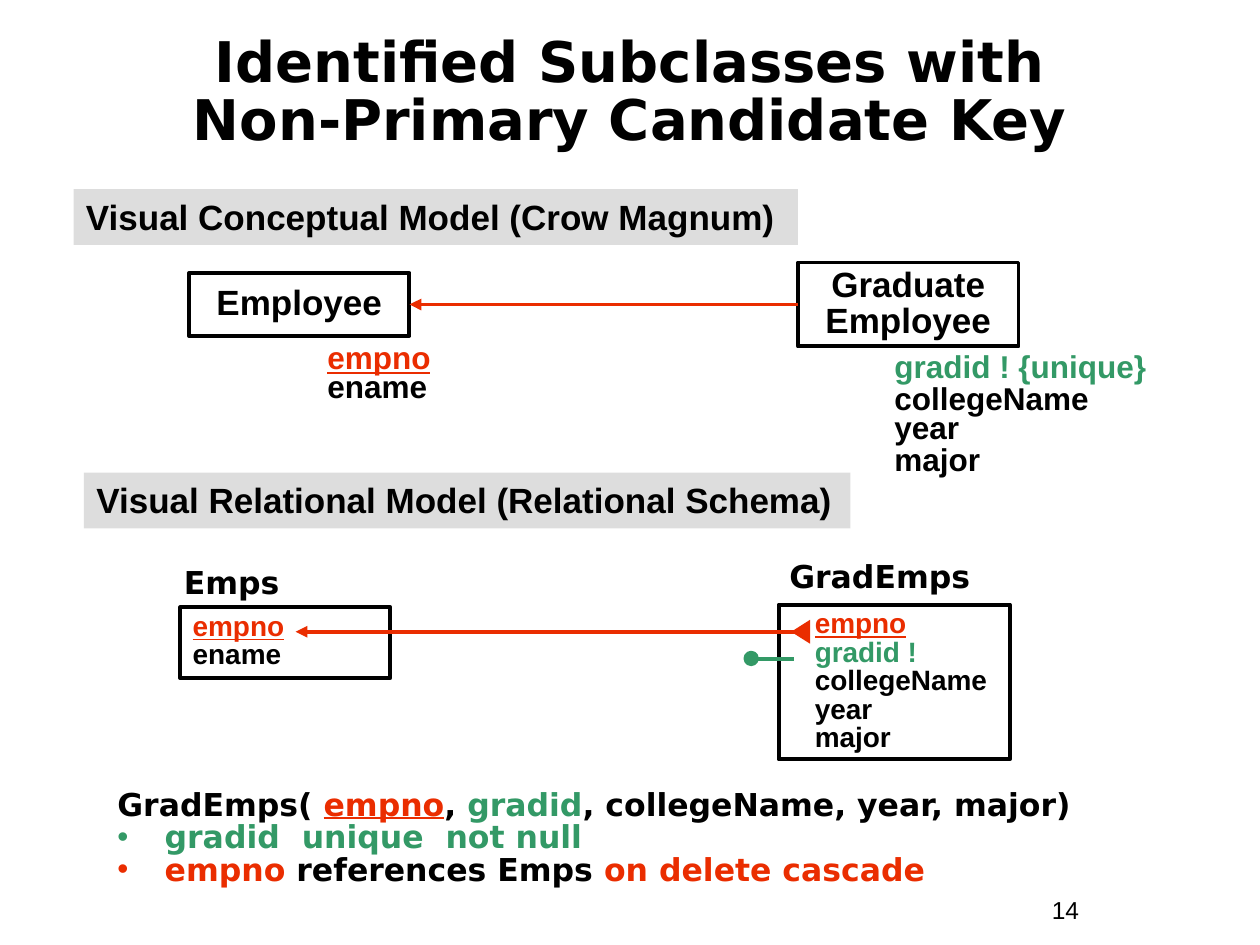
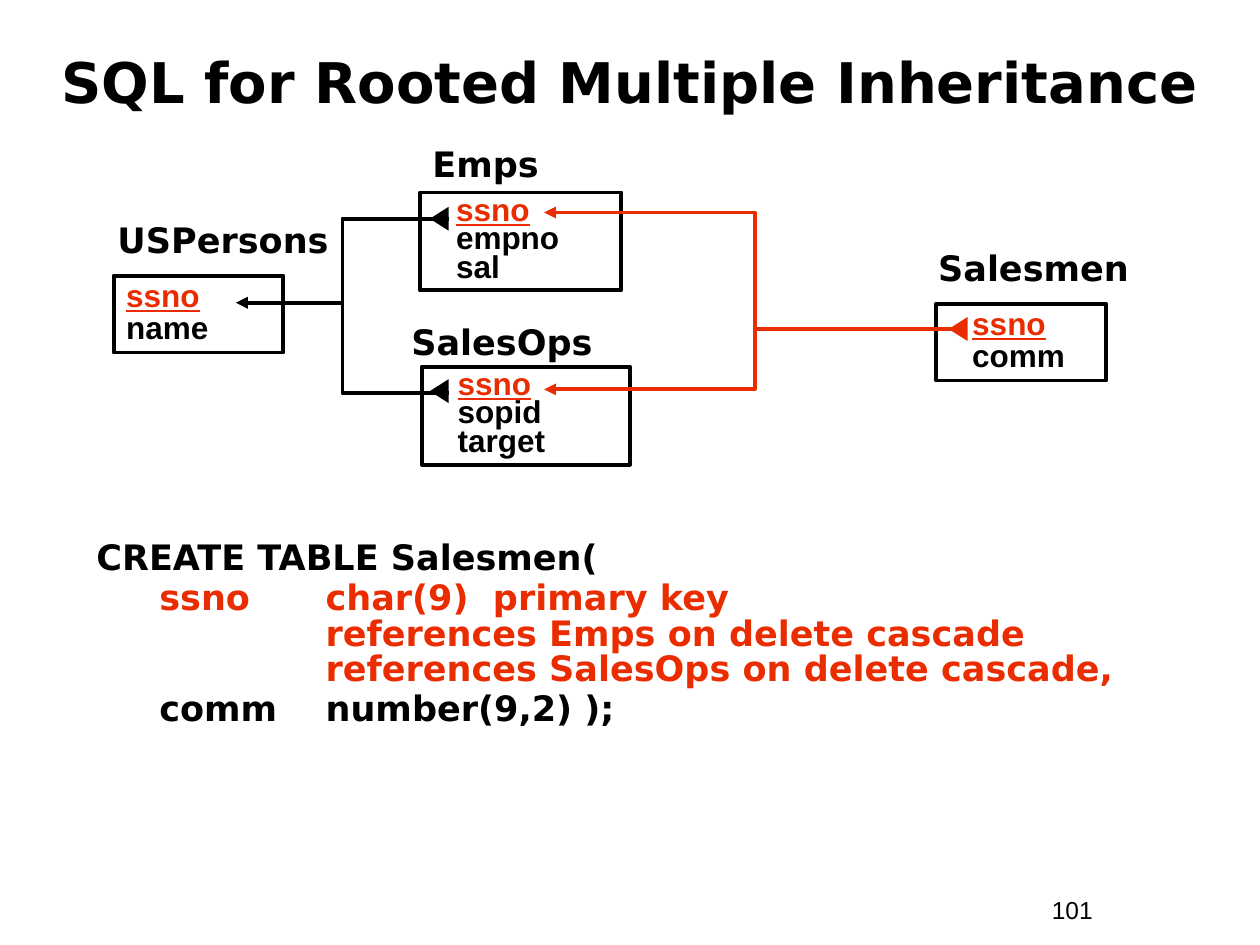
from dataclasses import dataclass
from lxml.etree import SubElement
from pptx import Presentation
from pptx.dml.color import RGBColor
from pptx.enum.shapes import MSO_CONNECTOR, MSO_SHAPE
from pptx.enum.text import MSO_ANCHOR, PP_ALIGN
from pptx.oxml.ns import qn
from pptx.util import Pt

HUE = {"ink": "000000", "red": "EA2D00", "green": "339966", "band": "DDDDDD"}
SANS, HEAD = "Arial", "DejaVu Sans"
EDGE = 2.25


@dataclass
class Line:
    """One paragraph: runs of (text, colour, underline) and its layout."""
    runs: list
    gap: float = 1
    left: float = 0
    hang: float = 0
    before: float = 0
    mark: str = ""
    tab: bool = False


def hue(name):
    """Return the colour of that name."""
    return RGBColor.from_string(HUE[name])


def plain(text, tint="ink", **more):
    """Return a line made of one run."""
    return Line([(text, tint, False)], **more)


def key(text, **more):
    """Return a line that shows a primary key."""
    return Line([(text, "red", True)], **more)


def style(font, tint, under):
    """Set the colour and underline of a font."""
    font.color.rgb = hue(tint)
    font.underline = under


def layout(par, line):
    """Set the spacing, indent, bullet and tab of a paragraph."""
    par.line_spacing = line.gap
    par.space_before = Pt(line.before)
    prop = par._p.get_or_add_pPr()
    prop.set("marL", str(Pt(line.left)))
    prop.set("indent", str(Pt(-line.hang)))
    if line.mark:
        tint = SubElement(prop, qn("a:buClr"))
        SubElement(tint, qn("a:srgbClr"), val=HUE[line.mark])
        SubElement(prop, qn("a:buFont"), typeface=SANS)
        SubElement(prop, qn("a:buChar"), char="•")
    if line.tab:
        stops = SubElement(prop, qn("a:tabLst"))
        for spot in (0, 144):
            SubElement(stops, qn("a:tab"), pos=str(Pt(spot)), algn="l")


def write(shape, lines, size, face=SANS, bold=True, mid=False, wrap=True):
    """Fill a shape with lines of text."""
    frame = shape.text_frame
    frame.word_wrap = wrap
    frame.vertical_anchor = MSO_ANCHOR.MIDDLE if mid else MSO_ANCHOR.TOP
    for i, line in enumerate(lines):
        par = frame.add_paragraph() if i else frame.paragraphs[0]
        par.alignment = PP_ALIGN.CENTER if mid else PP_ALIGN.LEFT
        layout(par, line)
        font = par.font
        font.name, font.size, font.bold = face, Pt(size), bold
        if len(line.runs) == 1:
            style(font, *line.runs[0][1:])
        for text, tint, under in line.runs:
            for j, part in enumerate(text.split("\n")):
                if j:
                    par.add_line_break()
                run = par.add_run()
                run.text = part
                if len(line.runs) > 1:
                    style(run.font, tint, under)


def label(slide, at, lines, size, face=SANS, **more):
    """Add a text box."""
    box = slide.shapes.add_textbox(*map(Pt, at))
    write(box, lines, size, face, **more)


def form(slide, kind, at, fill=None, edge=None):
    """Add a preset shape with an optional fill and outline."""
    shape = slide.shapes.add_shape(kind, *map(Pt, at))
    shape.shadow.inherit = False
    if fill:
        shape.fill.solid()
        shape.fill.fore_color.rgb = hue(fill)
    else:
        shape.fill.background()
    if edge:
        shape.line.color.rgb = hue(edge)
        shape.line.width = Pt(EDGE)
    else:
        shape.line.fill.background()
    return shape


def band(slide, at, text):
    """Add a grey section heading."""
    write(form(slide, MSO_SHAPE.RECTANGLE, at, "band"), [plain(text)], 20)


def class_box(slide, at, text):
    """Add a box with a class name in its middle."""
    box = form(slide, MSO_SHAPE.RECTANGLE, at, edge="ink")
    write(box, [plain(text, gap=0.85)], 20, mid=True, wrap=False)
    return box


def table_box(slide, name, spot, at, lines, size):
    """Add a schema table: a name above a box of columns."""
    label(slide, (*spot, 198, 32), [plain(name)], size[0], HEAD)
    box = form(slide, MSO_SHAPE.RECTANGLE, at, edge="ink")
    write(box, lines, size[1])


def link(slide, start, end, tint, arrow=True):
    """Add a connector, bent where its ends differ in height."""
    level = start[1] == end[1]
    kind = MSO_CONNECTOR.STRAIGHT if level else MSO_CONNECTOR.ELBOW
    wire = slide.shapes.add_connector(kind, *map(Pt, (*start, *end)))
    wire.line.color.rgb = hue(tint)
    wire.line.width = Pt(EDGE)
    if arrow:
        SubElement(wire.line._get_or_add_ln(), qn("a:tailEnd"), type="triangle")
    SubElement(wire._element.spPr, qn("a:effectLst"))
    return wire


def foot(slide, x, y, tint):
    """Add a left-pointing triangle centred on a point."""
    wide, high = 13.7, 10.8
    at = (x - wide / 2, y - high / 2, wide, high)
    form(slide, MSO_SHAPE.ISOSCELES_TRIANGLE, at, tint).rotation = 270


def start_slide(deck, title, mid, number, gap):
    """Add a slide with its title and number."""
    slide = deck.slides.add_slide(deck.slide_layouts[6])
    label(slide, (24, mid - 33, 672, 66), [plain(title, gap=gap)], 32, HEAD, mid=True)
    label(slide, (594, 508, 66, 24.5), [plain(number)], 14, bold=False)
    return slide


def subclass_slide(deck):
    """Build the slide on identified subclasses."""
    slide = start_slide(
        deck, "Identified Subclasses with\nNon-Primary Candidate Key", 54, "14", 0.85)
    band(slide, (42, 108, 414, 32), "Visual Conceptual Model (Crow Magnum)")
    band(slide, (48, 270, 438, 32), "Visual Relational Model (Relational Schema)")

    base = class_box(slide, (108, 156, 126, 36), "Employee")
    grad = class_box(slide, (456, 150, 126, 48), "Graduate\nEmployee")
    wire = link(slide, (456, 174), (234, 174), "red")
    wire.begin_connect(grad, 1)
    wire.end_connect(base, 3)
    label(slide, (180, 192, 78, 43), [key("empno", gap=0.9), plain("ename", gap=0.75)], 18)
    unique = [("gradid ! {unique}", "green", False), (" collegeName", "ink", False)]
    label(slide, (504, 198, 168, 78.5), [
        Line(unique, gap=0.85), plain("year", gap=0.75), plain("major", gap=0.85)], 18)

    table_box(slide, "Emps", (98, 318), (103, 347, 120, 40.5),
              [key("empno", gap=0.85), plain("ename", gap=0.85)], (18, 16))
    pad = {"gap": 0.85, "left": 13.5}
    table_box(slide, "GradEmps", (444, 314.5), (445, 345.5, 132, 88.5), [
        key("empno", **pad), plain("gradid !", "green", **pad),
        plain("collegeName\nyear\nmajor", **pad)], (18, 16))
    link(slide, (461, 361), (169, 361), "red")
    foot(slide, 457.5, 361, "red")
    form(slide, MSO_SHAPE.OVAL, (426, 373, 6.5, 6.5), "green", "green")
    link(slide, (432, 376.5), (453.5, 376.5), "green", arrow=False)

    item = {"gap": 0.85, "left": 27, "hang": 27}
    label(slide, (60, 448.5, 594, 62.5), [
        Line([("GradEmps( ", "ink", False), ("empno", "red", True),
              (", ", "ink", False), ("gradid", "green", False),
              (", collegeName, year, major)", "ink", False)], **item),
        plain("gradid  unique  not null", "green", mark="green", **item),
        Line([("empno", "red", False), (" references Emps ", "ink", False),
              ("on delete cascade", "red", False)], mark="red", **item)], 18, HEAD)


def inherit_slide(deck):
    """Build the slide on rooted multiple inheritance."""
    slide = start_slide(deck, "SQL for Rooted Multiple Inheritance", 50, "101", 0.8)
    tight = {"gap": 0.75, "left": 13.5}
    pad = {"gap": 0.85, "left": 13.5}
    tables = [
        ("USPersons", (60, 121.5), (65, 157.5, 97, 44),
         [key("ssno", gap=0.85), plain("name", gap=0.85)]),
        ("Emps", (240, 78), (240, 110, 115, 56),
         [key("ssno", **tight), plain("empno\nsal", **tight)]),
        ("SalesOps", (228, 179.5), (241, 209.5, 119, 56),
         [key("ssno", **tight), plain("sopid\ntarget", **tight)]),
        ("Salesmen", (529, 137.5), (535, 173.5, 97, 44),
         [key("ssno", **pad), plain("comm", **pad)]),
    ]
    for name, spot, at, lines in tables:
        table_box(slide, name, spot, at, lines, (20, 18))

    for low, high in ((125, 121.5), (224.5, 222.5)):
        link(slide, (256.5, low), (135, 173), "ink")
        foot(slide, 251, min(low, 223.5), "ink")
        link(slide, (551.5, 188), (311, high), "red")
    foot(slide, 547.5, 188, "red")

    column = {"gap": 0.85, "left": 131, "hang": 95, "before": 2.5, "tab": True}
    label(slide, (48, 306, 606, 160), [
        plain("CREATE TABLE Salesmen(", gap=0.85, left=27, hang=27),
        plain("ssno\tchar(9)  primary key\nreferences Emps on delete cascade\n"
              "references SalesOps on delete cascade,", "red", **column),
        plain("comm\tnumber(9,2) );", **column)], 20, HEAD)


def main():
    """Build and save the deck."""
    deck = Presentation()
    deck.slide_width, deck.slide_height = Pt(720), Pt(540)
    subclass_slide(deck)
    inherit_slide(deck)
    deck.save("out.pptx")


if __name__ == "__main__":
    main()
